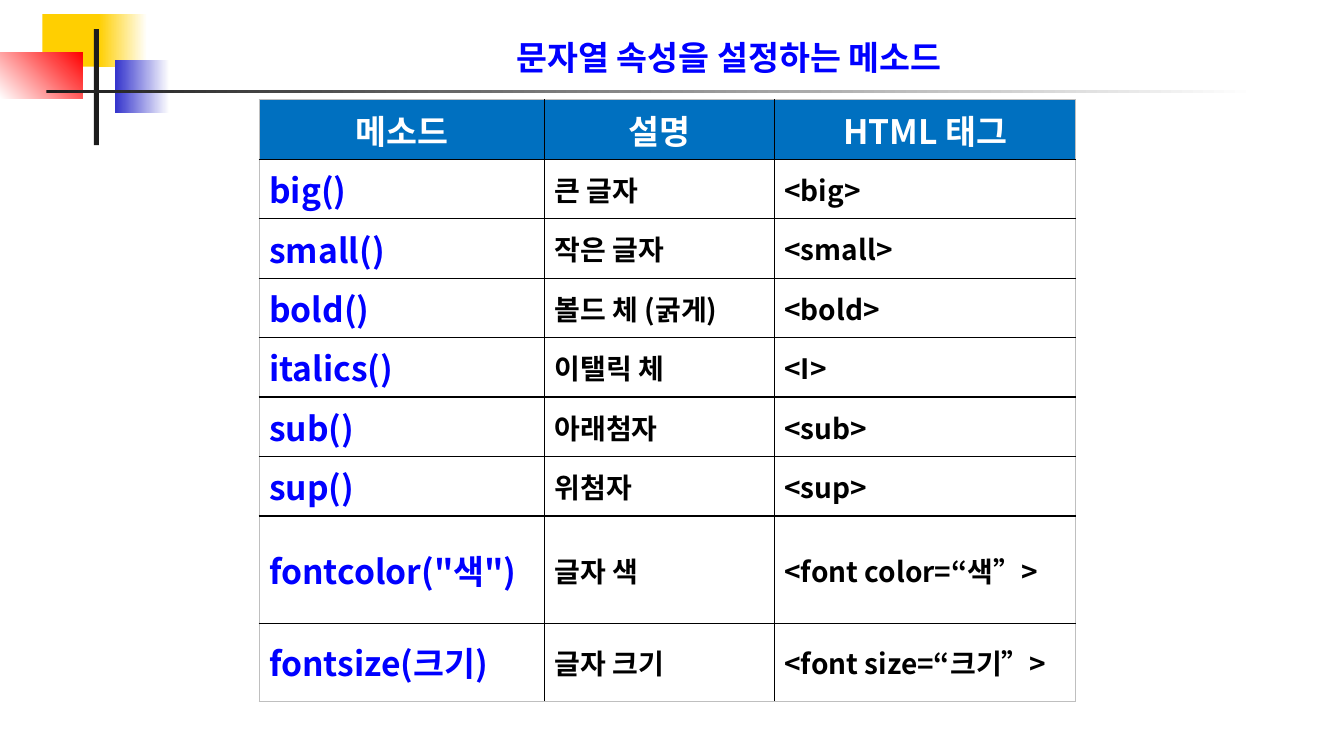
import pptx
import pptx.util
import pptx.dml.color
import pptx.enum.shapes
import pptx.enum.text
import pptx.oxml
import pptx.oxml.ns
import lxml.etree

Inches = pptx.util.Inches
Align = pptx.enum.text.PP_ALIGN
Anchor = pptx.enum.text.MSO_ANCHOR
FACE = "Noto Sans CJK KR"


def color(code):
    return pptx.dml.color.RGBColor.from_string(code)


def style(para, size, code, align):
    para.alignment = align
    for run in para.runs:
        font = run.font
        font.size = pptx.util.Pt(size)
        font.bold = True
        font.name = FACE
        font.color.rgb = color(code)
        east = lxml.etree.SubElement(run._r.get_or_add_rPr(), pptx.oxml.ns.qn("a:ea"))
        east.set("typeface", FACE)


deck = pptx.Presentation()
deck.slide_width = Inches(13.33)
deck.slide_height = Inches(7.5)
slide = deck.slides.add_slide(deck.slide_layouts[5])

blocks = [
    ((0.42, 0.14, 0.64, 0.52), ["FFCF01"], 0),
    ((0.98, 0.14, 0.48, 0.52), ["FFCF01", "FFFFFF"], 0),
    ((1.14, 0.6, 0.54, 0.52), ["3333CC", "FFFFFF"], 0),
    ((0, 0.52, 0.82, 0.46), ["FFFFFF", "FF0000"], 45),
    ((0.93, 0.29, 0.05, 1.15), ["1C1C1C"], 0),
    ((0.46, 0.89, 12, 0.03), ["1C1C1C", "FFFFFF"], 0),
]
for area, tones, angle in blocks:
    block = slide.shapes.add_shape(
        pptx.enum.shapes.MSO_SHAPE.RECTANGLE, *[Inches(n) for n in area]
    )
    block.shadow.inherit = False
    block.line.fill.background()
    if len(tones) == 1:
        block.fill.solid()
        block.fill.fore_color.rgb = color(tones[0])
    else:
        block.fill.gradient()
        block.fill.gradient_angle = angle
        for stop, tone in zip(block.fill.gradient_stops, tones):
            stop.color.rgb = color(tone)

title = slide.shapes.title
title.left, title.top = Inches(2.97), Inches(0.21)
title.width, title.height = Inches(8.52), Inches(0.61)
frame = title.text_frame
frame.text = "문자열 속성을 설정하는 메소드"
frame.word_wrap = True
frame.auto_size = pptx.enum.text.MSO_AUTO_SIZE.NONE
frame.vertical_anchor = Anchor.BOTTOM
style(frame.paragraphs[0], 24, "0000FF", Align.CENTER)

rows = [
    ("메소드", "설명", "HTML 태그"),
    ("big()", "큰 글자", "<big>"),
    ("small()", "작은 글자", "<small>"),
    ("bold()", "볼드 체 (굵게)", "<bold>"),
    ("italics()", "이탤릭 체", "<I>"),
    ("sub()", "아래첨자", "<sub>"),
    ("sup()", "위첨자", "<sup>"),
    ('fontcolor("색")', "글자 색", "<font color=“색”>"),
    ("fontsize(크기)", "글자 크기", "<font size=“크기”>"),
]
wide = [2.83, 2.28, 2.99]
table = slide.shapes.add_table(
    len(rows), len(wide), Inches(2.57), Inches(0.99), Inches(8.1), Inches(5.49)
).table
table.horz_banding = False
for col, width in zip(table.columns, wide):
    col.width = Inches(width)
for row in table.rows:
    row.height = Inches(0.59)
table.rows[len(rows) - 1].height = Inches(0.77)

for r, words in enumerate(rows):
    for c, word in enumerate(words):
        cell = table.cell(r, c)
        cell.text = word
        cell.vertical_anchor = Anchor.MIDDLE
        para = cell.text_frame.paragraphs[0]
        if r == 0:
            cell.fill.solid()
            cell.fill.fore_color.rgb = color("0070C0")
            style(para, 24, "FFFFFF", Align.CENTER)
        else:
            cell.fill.background()
            size, tone = (24, "0000FF") if c == 0 else (20, "000000")
            style(para, size, tone, Align.LEFT)
        outer = {
            "L": c == 0,
            "R": c == len(wide) - 1,
            "T": r == 0,
            "B": r == len(rows) - 1,
        }
        props = cell._tc.get_or_add_tcPr()
        for spot, (side, edge) in enumerate(outer.items()):
            tone = "BFBFBF" if edge else "000000"
            props.insert(spot, pptx.oxml.parse_xml(
                f'<a:ln{side} {pptx.oxml.ns.nsdecls("a")} w="12700"><a:solidFill>'
                f'<a:srgbClr val="{tone}"/></a:solidFill></a:ln{side}>'
            ))

deck.save("out.pptx")
